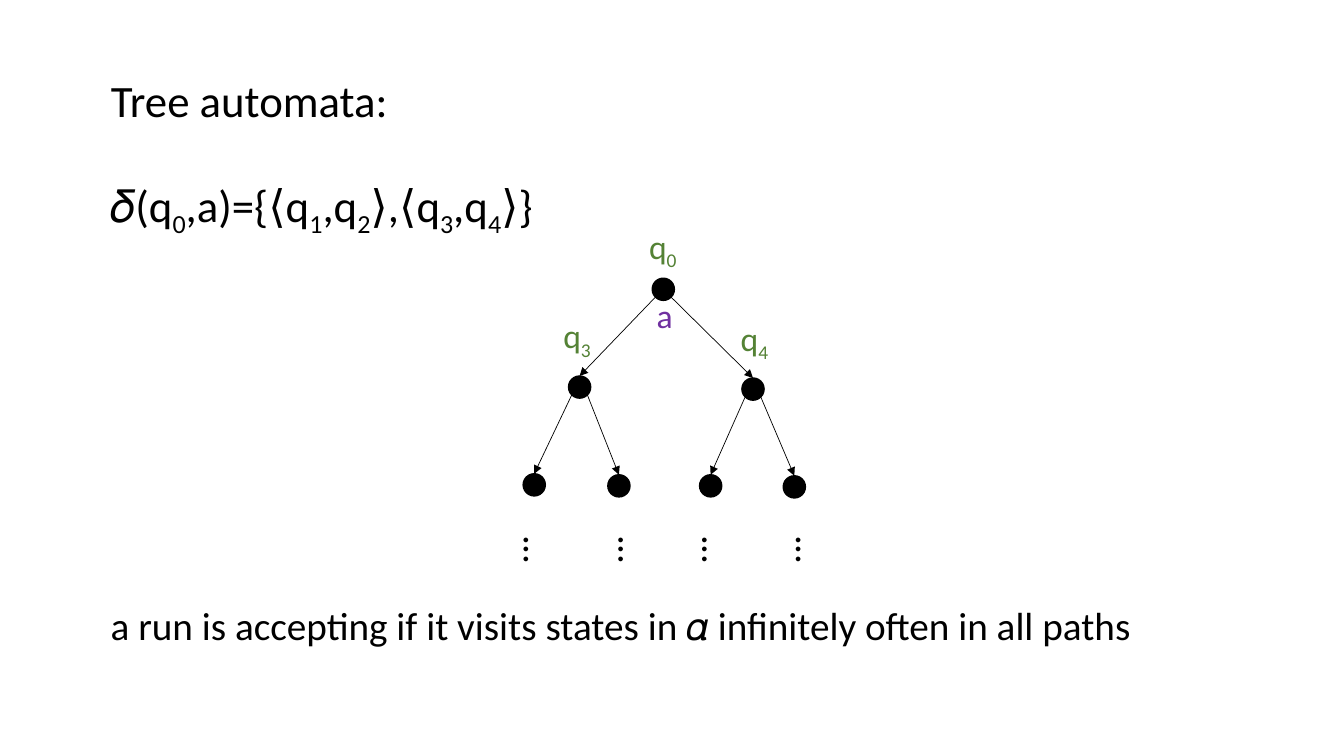
from dataclasses import dataclass
from itertools import groupby

from lxml import etree
from pptx import Presentation
from pptx.dml.color import RGBColor
from pptx.enum.shapes import MSO_CONNECTOR, MSO_SHAPE
from pptx.enum.text import MSO_ANCHOR, MSO_AUTO_SIZE, PP_ALIGN
from pptx.oxml.ns import qn
from pptx.util import Inches, Pt

STRAIGHT = MSO_CONNECTOR.STRAIGHT
ELLIPSE = MSO_SHAPE.OVAL
TOP = MSO_ANCHOR.TOP
GROW = MSO_AUTO_SIZE.SHAPE_TO_FIT_TEXT
LEFT, CENTER = PP_ALIGN.LEFT, PP_ALIGN.CENTER

BLACK = RGBColor(0x00, 0x00, 0x00)
GREEN = RGBColor(0x54, 0x82, 0x35)
PURPLE = RGBColor(0x70, 0x30, 0xA0)
FONT = "Calibri"

SLIDE_WIDTH, SLIDE_HEIGHT = Inches(13.33), Inches(7.5)
COLUMN, ROW = SLIDE_WIDTH / 40, SLIDE_HEIGHT / 30
DIAMETER = Inches(0.22)
TITLE_ONLY = 5


@dataclass(frozen=True)
class Label:
    text: str
    column: float
    row: float
    columns: float
    rows: float
    size: int
    color: RGBColor = BLACK
    align: PP_ALIGN = LEFT
    rotation: int = 0
    wrap: bool = True


@dataclass(frozen=True)
class Node:
    column: float
    row: float
    children: tuple["Node", ...] = ()


def state(text: str, column: float, row: float, color: RGBColor = GREEN) -> Label:
    return Label(text, column, row, 2.31, 2, 24, color, CENTER)


def ellipsis(center: float) -> Label:
    width, height = 5.94, 2.28
    return Label("...", center - width / 2, 24.8 - height / 2, width, height, 28, rotation=90)


TITLE = Label("Tree automata:", 3, 2.68, 32.73, 2.56, 32)
LABELS = [
    Label("𝛿(q0,a)={⟨q1,q2⟩,⟨q3,q4⟩}", 3, 6.84, 32.73, 2.56, 32),
    Label("a run is accepting if it visits states in 𝛼 infinitely often in all paths",
          3, 23.68, 31.74, 2.28, 28, wrap=False),
    *(ellipsis(center) for center in (16.05, 18.87, 21.36, 24.15)),
    state("q0", 18.57, 8.76),
    state("a", 18.63, 11.52, PURPLE),
    state("q3", 16.02, 12.32),
    state("q4", 21.3, 12.4),
]
TREE = Node(19.74, 11.48, (
    Node(17.25, 15.36, (Node(15.9, 19.24), Node(18.42, 19.28))),
    Node(22.41, 15.44, (Node(21.15, 19.28), Node(23.64, 19.32))),
))


def write_label(box, label: Label) -> None:
    box.left, box.top = round(label.column * COLUMN), round(label.row * ROW)
    box.width, box.height = round(label.columns * COLUMN), round(label.rows * ROW)
    box.rotation = label.rotation
    frame = box.text_frame
    frame.word_wrap = label.wrap
    frame.auto_size = GROW
    frame.vertical_anchor = TOP
    para = frame.paragraphs[0]
    para.alignment = label.align
    for is_subscript, letters in groupby(label.text, str.isdigit):
        span = para.add_run()
        span.text = "".join(letters)
        span.font.name = FONT
        span.font.size = Pt(label.size)
        span.font.color.rgb = label.color
        if is_subscript:
            span.font._element.set("baseline", "-25000")


def draw_arrow(page, parent, child) -> None:
    center = parent.left + DIAMETER / 2
    side = 1 if child.left > parent.left else -1
    reach = DIAMETER / 2 * 0.7
    arrow = page.shapes.add_connector(
        STRAIGHT,
        round(center + side * reach), round(parent.top + DIAMETER / 2 + reach),
        round(child.left + DIAMETER / 2), child.top)
    arrow.end_connect(child, 0)
    arrow.line.color.rgb = BLACK
    arrow.line.width = Pt(0.5)
    etree.SubElement(arrow.line._get_or_add_ln(), qn("a:tailEnd"), type="triangle")
    etree.SubElement(arrow._element.spPr, qn("a:effectLst"))


def draw_node(page, node: Node):
    dot = page.shapes.add_shape(
        ELLIPSE,
        round(node.column * COLUMN - DIAMETER / 2), round(node.row * ROW - DIAMETER / 2),
        DIAMETER, DIAMETER)
    dot.shadow.inherit = False
    dot.fill.solid()
    dot.fill.fore_color.rgb = BLACK
    dot.line.color.rgb = BLACK
    dot.line.width = Pt(1)
    for child in node.children:
        draw_arrow(page, dot, draw_node(page, child))
    return dot


def main() -> None:
    deck = Presentation()
    deck.slide_width, deck.slide_height = SLIDE_WIDTH, SLIDE_HEIGHT
    page = deck.slides.add_slide(deck.slide_layouts[TITLE_ONLY])
    write_label(page.shapes.title, TITLE)
    draw_node(page, TREE)
    for label in LABELS:
        write_label(page.shapes.add_textbox(0, 0, 0, 0), label)
    deck.save("out.pptx")


if __name__ == "__main__":
    main()
